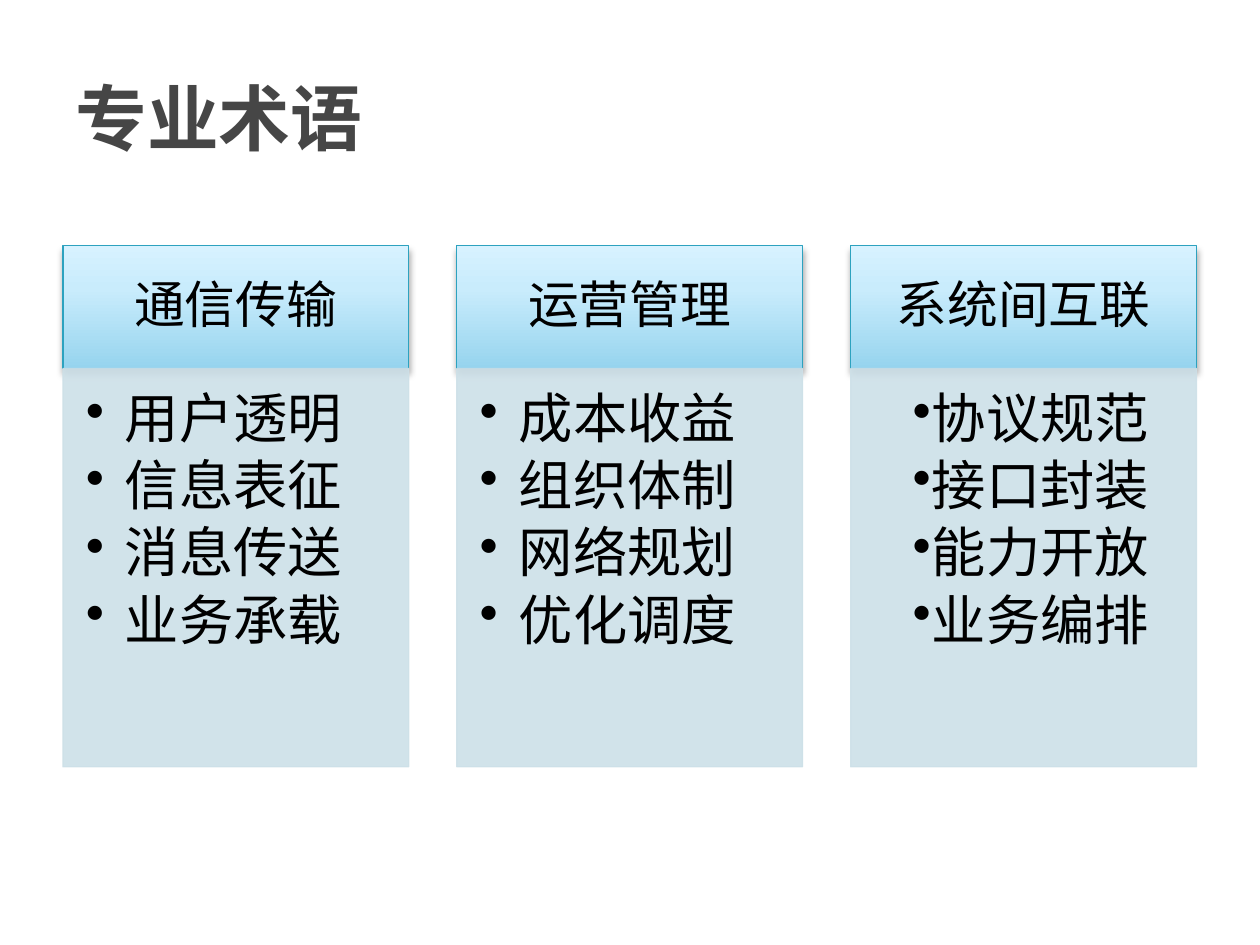
"""Build the slide of technical terms in three headed columns."""
from copy import deepcopy

from lxml.etree import SubElement
from pptx import Presentation
from pptx.dml.color import RGBColor
from pptx.enum.shapes import MSO_SHAPE
from pptx.enum.text import MSO_ANCHOR, PP_ALIGN
from pptx.oxml.ns import qn
from pptx.util import Cm, Pt

FONT = "Courier New"
BLACK = RGBColor(0x00, 0x00, 0x00)
TITLE_GRAY = RGBColor(0x46, 0x46, 0x46)
HEADER_LINE = RGBColor(0x2D, 0xA2, 0xBF)
BODY_FILL = RGBColor(0xCD, 0xE0, 0xE8)
HEADER_STOPS = [
    (0, RGBColor(0x96, 0xD4, 0xEE)),
    (0.65, RGBColor(0xC9, 0xEC, 0xFC)),
    (1, RGBColor(0xD7, 0xF2, 0xFF)),
]
COLUMNS = [
    ("通信传输", ["用户透明", "信息表征", "消息传送", "业务承载"], Cm(-0.79)),
    ("运营管理", ["成本收益", "组织体制", "网络规划", "优化调度"], Cm(-0.79)),
    ("系统间互联", ["协议规范", "接口封装", "能力开放", "业务编排"], Cm(0)),
]
LEFT, PITCH, WIDTH = 1.27, 7.94, 6.97
HEADER_TOP, HEADER_HEIGHT, BODY_HEIGHT = 4.95, 2.48, 8.03


def set_frame(shape, anchor, left, top, right, bottom):
    frame = shape.text_frame
    frame.word_wrap = True
    frame.vertical_anchor = anchor
    frame.margin_left, frame.margin_top = Cm(left), Cm(top)
    frame.margin_right, frame.margin_bottom = Cm(right), Cm(bottom)
    return frame


def write(paragraph, text, size, color, alignment=PP_ALIGN.LEFT):
    paragraph.text = text
    paragraph.alignment = alignment
    paragraph.font.name = FONT
    paragraph.font.size = Pt(size)
    paragraph.font.color.rgb = color


presentation = Presentation()
presentation.slide_width, presentation.slide_height = Cm(25.4), Cm(19.05)
slide = presentation.slides.add_slide(presentation.slide_layouts[6])

title = slide.shapes.add_textbox(Cm(1.27), Cm(0.76), Cm(22.86), Cm(3.18))
title_paragraph = set_frame(title, MSO_ANCHOR.MIDDLE, 0.25, 0.13, 0.25, 0.13).paragraphs[0]
write(title_paragraph, "专业术语", 41, TITLE_GRAY)
title_paragraph.font.bold = True

for index, (heading, terms, indent) in enumerate(COLUMNS):
    left = Cm(LEFT + index * PITCH)
    header = slide.shapes.add_shape(
        MSO_SHAPE.RECTANGLE, left, Cm(HEADER_TOP), Cm(WIDTH), Cm(HEADER_HEIGHT))
    header.fill.gradient()
    header.fill.gradient_angle = 90
    stop_list = header.element.spPr.find(".//" + qn("a:gsLst"))
    stop_list.append(deepcopy(stop_list[0]))
    for stop, (position, color) in zip(header.fill.gradient_stops, HEADER_STOPS):
        stop.position = position
        stop.color.rgb = color
    header.line.color.rgb = HEADER_LINE
    header.line.width = Pt(0.75)
    header.shadow.inherit = False
    shadow = SubElement(
        header.element.spPr.find(qn("a:effectLst")), qn("a:outerShdw"),
        blurRad=str(Pt(4)), dist=str(Pt(3)), dir="5400000", rotWithShape="0")
    shadow_color = SubElement(shadow, qn("a:srgbClr"), val=str(BLACK))
    SubElement(shadow_color, qn("a:alpha"), val="35000")
    frame = set_frame(header, MSO_ANCHOR.MIDDLE, 0.59, 0.33, 0.59, 0.33)
    write(frame.paragraphs[0], heading, 29, BLACK, PP_ALIGN.CENTER)
    frame.paragraphs[0].line_spacing = 0.9

    body = slide.shapes.add_shape(
        MSO_SHAPE.RECTANGLE, left, Cm(HEADER_TOP + HEADER_HEIGHT), Cm(WIDTH), Cm(BODY_HEIGHT))
    body.fill.solid()
    body.fill.fore_color.rgb = BODY_FILL
    body.line.color.rgb = BODY_FILL
    body.line.width = Pt(0.75)
    body.shadow.inherit = False
    for color in body.element.spPr.iter(qn("a:srgbClr")):
        SubElement(color, qn("a:alpha"), val="90000")
    frame = set_frame(body, MSO_ANCHOR.TOP, 0.46, 0.46, 0.61, 0.69)
    for row, term in enumerate(terms):
        paragraph = frame.add_paragraph() if row else frame.paragraphs[0]
        properties = paragraph._p.get_or_add_pPr()
        properties.set("marL", str(Cm(0.79)))
        properties.set("indent", str(indent))
        SubElement(properties, qn("a:buChar"), char="•")
        write(paragraph, term, 31, BLACK)
        paragraph.level = 1
        paragraph.line_spacing = 0.9
        paragraph.space_after = Pt(5)

presentation.save("out.pptx")
